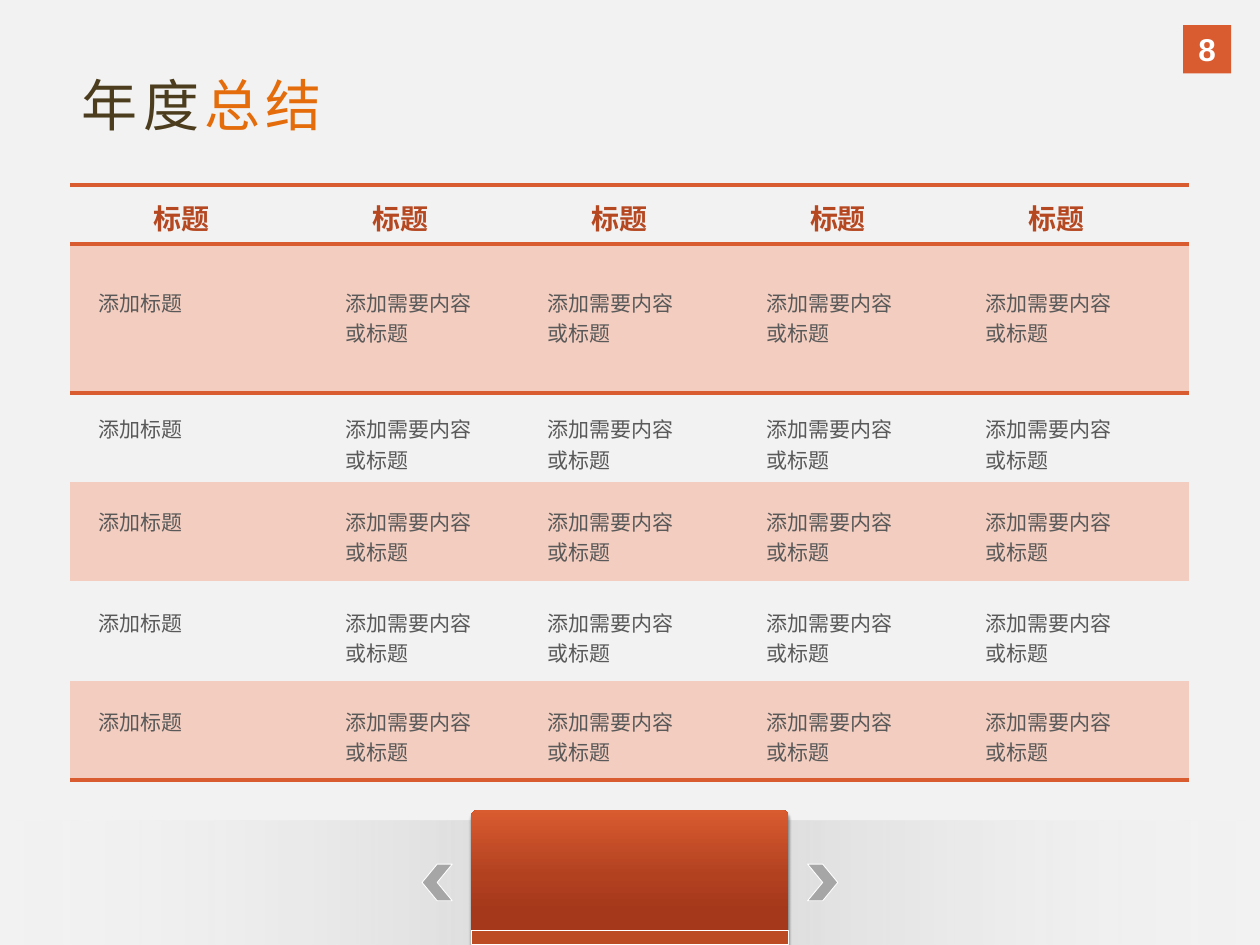
import pptx
import pptx.util
import pptx.oxml
import pptx.oxml.ns
import pptx.dml.color
import pptx.enum.shapes
import pptx.enum.text
from pptx.util import Cm

HUES = {
    "page": "F2F2F2", "band": "F3CDBF", "rule": "D95B30", "deep": "A5381B",
    "mid": "B24120", "strip": "BC4A22", "head": "B54821", "body": "595959",
    "brown": "4C3D1E", "gold": "E46C0A", "arrow": "A6A6A6", "shade": "BFBFBF",
    "white": "FFFFFF", "black": "000000",
}
FACE = "Noto Sans CJK SC"
KIND = pptx.enum.shapes.MSO_SHAPE
ALIGN = pptx.enum.text.PP_ALIGN
PLAIN = "{2D5ABB26-0587-4C30-8999-92F81FD0307C}"  # no style, no grid

# Table: column step, left text inset per column, text width
STEP, LAST, WRAP = 4.41, 4.91, 2.87
INSETS = [0.56, 1.13, 0.79, 0.8, 0.81]
# Row height and top text inset
ROWS = [(1.19, 0.25), (3, 0.86), (1.8, 0.41), (2, 0.48), (2, 0.51), (2, 0.51)]


def tint(name):
    return pptx.dml.color.RGBColor.from_string(HUES[name])


def node(text):
    return pptx.oxml.parse_xml(text.replace(">", f" {pptx.oxml.ns.nsdecls('a')}>", 1))


def apply(item, vals):
    for key, val in vals.items():
        setattr(item, key, val)


def write(para, text, hue, size, face=FACE, bold=False):
    run = para.add_run()
    run.text = text
    apply(run.font, {"name": face, "size": pptx.util.Pt(size), "bold": bold})
    run.font.color.rgb = tint(hue)
    run.font._element.append(node(f'<a:ea typeface="{face}"></a:ea>'))
    return run


def block(slide, kind, box, fill=None, line=None, width=0.5):
    shape = slide.shapes.add_shape(kind, *map(Cm, box))
    shape.shadow.inherit = False
    if fill:
        shape.fill.solid()
        shape.fill.fore_color.rgb = tint(fill)
    if line:
        shape.line.color.rgb = tint(line)
        shape.line.width = pptx.util.Pt(width)
    else:
        shape.line.fill.background()
    return shape


def blend(shape, stops, angle):
    marks = "".join(
        f'<a:gs pos="{pos * 1000}"><a:srgbClr val="{HUES[hue]}">'
        f'<a:alpha val="{alpha * 1000}"/></a:srgbClr></a:gs>'
        for pos, hue, alpha in stops)
    grad = node(f'<a:gradFill rotWithShape="1"><a:gsLst>{marks}</a:gsLst>'
                f'<a:lin ang="{angle * 60000}" scaled="0"/></a:gradFill>')
    shape._element.spPr.find(pptx.oxml.ns.qn("a:prstGeom")).addnext(grad)


def shade(shape):
    glow = shape._element.spPr.find(pptx.oxml.ns.qn("a:effectLst"))
    glow.append(node(
        f'<a:outerShdw blurRad="{pptx.util.Pt(1.5)}" dist="{pptx.util.Pt(2)}" '
        f'dir="5400000" rotWithShape="0"><a:srgbClr val="{HUES["black"]}">'
        '<a:alpha val="40000"/></a:srgbClr></a:outerShdw>'))


def border(cell, sides):
    props = cell._tc.get_or_add_tcPr()
    for spot, side in enumerate(sides):
        props.insert(spot, node(
            f'<a:{side} w="{pptx.util.Pt(2.25)}"><a:solidFill>'
            f'<a:srgbClr val="{HUES["rule"]}"/></a:solidFill></a:{side}>'))


def fill_cell(cell, row, col, width):
    head = row == 0
    inset = 1.68 if head else INSETS[col]
    right = 0 if head else width - inset - WRAP
    apply(cell, {"margin_left": Cm(inset), "margin_right": Cm(right),
                 "margin_top": Cm(ROWS[row][1]), "margin_bottom": 0})
    if row % 2:
        cell.fill.solid()
        cell.fill.fore_color.rgb = tint("band")
    else:
        cell.fill.background()
    para = cell.text_frame.paragraphs[0]
    if head:
        para.alignment = ALIGN.JUSTIFY
        write(para, "标题", "head", 16, bold=True)
    else:
        write(para, "添加需要内容或标题" if col else "添加标题", "body", 12)
    sides = ["lnT"] if row < 2 else []
    if row in (0, len(ROWS) - 1):
        sides.append("lnB")
    border(cell, sides)


def add_grid(slide):
    widths = [STEP] * 4 + [LAST]
    high = sum(height for height, _ in ROWS)
    frame = slide.shapes.add_table(
        len(ROWS), len(widths), Cm(1.42), Cm(3.73), Cm(sum(widths)), Cm(high))
    grid = frame.table
    apply(grid, {"first_row": False, "horz_banding": False})
    grid._tbl.tblPr.find(pptx.oxml.ns.qn("a:tableStyleId")).text = PLAIN
    for col, width in enumerate(widths):
        grid.columns[col].width = Cm(width)
    for row, (height, _) in enumerate(ROWS):
        grid.rows[row].height = Cm(height)
        for col, width in enumerate(widths):
            fill_cell(grid.cell(row, col), row, col, width)


def add_foot(slide):
    floor = block(slide, KIND.RECTANGLE, (0, 16.54, 25.4, 2.51))
    blend(floor, [(0, "page", 0), (50, "shade", 65), (100, "page", 0)], 180)
    for left, flip in ((16.28, "0"), (8.51, "1")):
        arrow = block(slide, KIND.CHEVRON, (left, 17.42, 0.61, 0.74), "arrow", "white")
        arrow._element.spPr.xfrm.set("flipH", flip)
    tab = block(slide, KIND.ROUNDED_RECTANGLE, (9.5, 16.33, 6.4, 3.2))
    tab.adjustments[0] = 0.04
    blend(tab, [(36, "deep", 100), (59, "mid", 100), (100, "rule", 100)], 270)
    shade(tab)
    block(slide, KIND.RECTANGLE, (9.5, 18.75, 6.4, 0.28), "strip", "white", 0.25)


def add_badge(slide):
    badge = block(slide, KIND.RECTANGLE, (23.85, 0.51, 0.97, 0.97), "rule")
    apply(badge.text_frame, {
        "margin_left": 0, "margin_right": 0, "margin_top": 0, "margin_bottom": 0,
        "vertical_anchor": pptx.enum.text.MSO_ANCHOR.MIDDLE})
    para = badge.text_frame.paragraphs[0]
    para.alignment = ALIGN.CENTER
    write(para, "8", "white", 18, "Arial", True)


def add_title(slide):
    frame = slide.shapes.add_textbox(Cm(1.4), Cm(1.3), Cm(8.18), Cm(1.63)).text_frame
    apply(frame, {"word_wrap": True,
                  "auto_size": pptx.enum.text.MSO_AUTO_SIZE.SHAPE_TO_FIT_TEXT})
    for text, hue in (("年度", "brown"), ("总结", "gold")):
        run = write(frame.paragraphs[0], text, hue, 32)
        run.font._element.set("spc", "300")


def main():
    deck = pptx.Presentation()
    apply(deck, {"slide_width": Cm(25.4), "slide_height": Cm(19.05)})
    slide = deck.slides.add_slide(deck.slide_layouts[6])
    slide.background.fill.solid()
    slide.background.fill.fore_color.rgb = tint("page")
    add_foot(slide)
    add_badge(slide)
    add_title(slide)
    add_grid(slide)
    deck.save("out.pptx")


if __name__ == "__main__":
    main()
